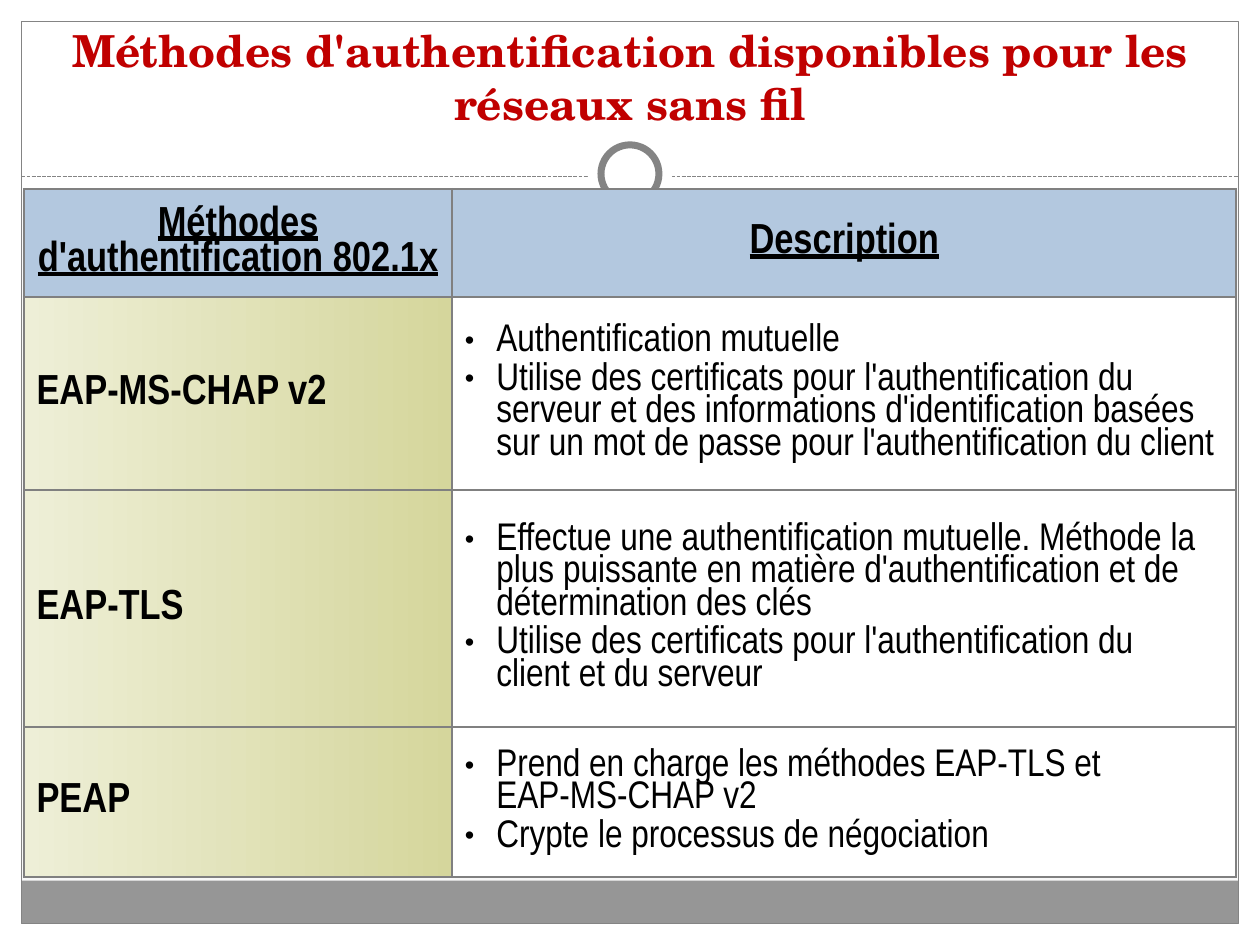
from typing import NamedTuple, Optional

from lxml.etree import SubElement
from pptx import Presentation
from pptx.dml.color import RGBColor
from pptx.enum.dml import MSO_LINE
from pptx.enum.shapes import MSO_CONNECTOR, MSO_SHAPE
from pptx.enum.text import MSO_ANCHOR, MSO_AUTO_SIZE, PP_ALIGN
from pptx.oxml.ns import qn
from pptx.util import Inches, Pt

# Grid of 100 columns by 75 rows, on a slide of 10 by 7.5 inches
COLUMNS, ROWS = 100, 75
MARGIN = 1.7
RULE_ROW = 14
GRAY, BORDER, WHITE, BLACK, RED = "848484", "808080", "FFFFFF", "000000", "C00000"
HEADER_FILL, METHOD_GRADIENT = "B3C8DF", ("EEEFD7", "D5D69C")
TABLE_FONT, TITLE_FONT = "Arial Narrow", "TeX Gyre Schola"
COLUMN_WIDTHS = (34, 62.2)
ROW_HEIGHTS = (8.6, 15.3, 18.8, 11.9)
HEADERS = ("Méthodes d'authentification 802.1x", "Description")


class Panel(NamedTuple):
    left: float
    top: float
    width: float
    height: float
    fill: Optional[str] = WHITE
    line: Optional[str] = None
    weight: float = 0.75
    preset: MSO_SHAPE = MSO_SHAPE.RECTANGLE


class Method(NamedTuple):
    name: str
    points: tuple[str, ...]


def centred_circle(diameter: float, **style) -> Panel:
    return Panel((COLUMNS - diameter) / 2, RULE_ROW - diameter / 2 - 0.2,
                 diameter, diameter, preset=MSO_SHAPE.OVAL, **style)


FRAME_WIDTH, FRAME_HEIGHT = COLUMNS - 2 * MARGIN, ROWS - 2 * MARGIN
FRAME = (
    Panel(0, ROWS - MARGIN, COLUMNS, MARGIN),
    Panel(0, 0, COLUMNS, 15.2),
    Panel(0, 0, MARGIN, ROWS),
    Panel(COLUMNS - MARGIN, 0, MARGIN, ROWS),
    Panel(MARGIN, 69.9, FRAME_WIDTH, 3.4, fill="969696"),
    Panel(MARGIN, MARGIN, FRAME_WIDTH, FRAME_HEIGHT, fill=None, line=GRAY),
)
CIRCLES = (centred_circle(6.7), centred_circle(4.6, line=GRAY, weight=4))

METHODS = (
    Method("EAP-MS-CHAP v2", (
        "Authentification mutuelle",
        "Utilise des certificats pour l'authentification du serveur et des informations "
        "d'identification basées sur un mot de passe pour l'authentification du client",
    )),
    Method("EAP-TLS", (
        "Effectue une authentification mutuelle. Méthode la plus puissante en matière "
        "d'authentification et de détermination des clés",
        "Utilise des certificats pour l'authentification du\nclient et du serveur",
    )),
    Method("PEAP", (
        "Prend en charge les méthodes EAP-TLS et\nEAP-MS-CHAP v2",
        "Crypte le processus de négociation",
    )),
)


def grid(units: float) -> int:
    return Inches(units / 10)


def color(value: str) -> RGBColor:
    return RGBColor.from_string(value)


def write(paragraph, text: str, *, size: float, font: str = TABLE_FONT, fill: str = BLACK,
          bold: bool = False, underline: bool = False, align=PP_ALIGN.LEFT,
          spacing: Optional[float] = None, before: float = 0, bullet: bool = False) -> None:
    paragraph.text = text
    paragraph.alignment = align
    paragraph.space_before = Pt(before)
    if spacing:
        paragraph.line_spacing = spacing
    if bullet:
        properties = paragraph._p.get_or_add_pPr()
        properties.set("marL", str(Inches(0.25)))
        properties.set("indent", str(-Inches(0.25)))
        SubElement(properties, qn("a:buSzPct"), val="70000")
        SubElement(properties, qn("a:buFont"), typeface="Arial")
        SubElement(properties, qn("a:buChar"), char="•")
    for run in paragraph.runs:
        run.font.name, run.font.size = font, Pt(size)
        run.font.bold, run.font.underline = bold, underline
        run.font.color.rgb = color(fill)


def draw_panel(slide, panel: Panel) -> None:
    shape = slide.shapes.add_shape(panel.preset, *map(grid, panel[:4]))
    shape.shadow.inherit = False
    if panel.fill:
        shape.fill.solid()
        shape.fill.fore_color.rgb = color(panel.fill)
    else:
        shape.fill.background()
    if panel.line:
        shape.line.color.rgb = color(panel.line)
        shape.line.width = Pt(panel.weight)
    else:
        shape.line.fill.background()


def draw_rule(slide) -> None:
    rule = slide.shapes.add_connector(MSO_CONNECTOR.STRAIGHT, grid(MARGIN), grid(RULE_ROW),
                                      grid(COLUMNS - MARGIN), grid(RULE_ROW))
    rule.line.color.rgb = color(GRAY)
    rule.line.width = Pt(0.75)
    rule.line.dash_style = MSO_LINE.SQUARE_DOT
    SubElement(rule._element.spPr, qn("a:effectLst"))


def place_title(slide, text: str) -> None:
    title = slide.shapes.title
    title.left, title.top, title.width, title.height = map(grid, (1.9, 2.5, 96.2, 8.3))
    frame = title.text_frame
    frame.auto_size = MSO_AUTO_SIZE.NONE
    frame.word_wrap = True
    frame.vertical_anchor = MSO_ANCHOR.BOTTOM
    write(frame.paragraphs[0], text, size=25.2, font=TITLE_FONT, fill=RED,
          bold=True, align=PP_ALIGN.CENTER)
    # The title stands in front of the frame panels
    title._element.getparent().append(title._element)


def style_cell(cell, *fills: str) -> None:
    """Border the cell and fill it: one colour is solid, two are a gradient."""
    cell.vertical_anchor = MSO_ANCHOR.MIDDLE
    properties = cell._tc.get_or_add_tcPr()
    for side in ("a:lnL", "a:lnR", "a:lnT", "a:lnB"):
        line = SubElement(properties, qn(side), w=str(Pt(1.5)))
        SubElement(SubElement(line, qn("a:solidFill")), qn("a:srgbClr"), val=BORDER)
    if len(fills) == 1:
        cell.fill.solid()
        cell.fill.fore_color.rgb = color(fills[0])
    else:
        cell.fill.gradient()
        cell.fill.gradient_angle = 0
        for stop, value in zip(cell.fill.gradient_stops, fills):
            stop.color.rgb = color(value)


def draw_table(slide) -> None:
    table = slide.shapes.add_table(
        len(ROW_HEIGHTS), len(COLUMN_WIDTHS), grid(1.9), grid(15),
        grid(sum(COLUMN_WIDTHS)), grid(sum(ROW_HEIGHTS))).table
    table.first_row = table.horz_banding = False
    for column, width in zip(table.columns, COLUMN_WIDTHS):
        column.width = grid(width)
    for row, height in zip(table.rows, ROW_HEIGHTS):
        row.height = grid(height)

    for index, header in enumerate(HEADERS):
        cell = table.cell(0, index)
        style_cell(cell, HEADER_FILL)
        write(cell.text_frame.paragraphs[0], header, size=24, bold=True, underline=True,
              align=PP_ALIGN.CENTER, spacing=0.9)

    for index, method in enumerate(METHODS, start=1):
        name_cell, points_cell = table.cell(index, 0), table.cell(index, 1)
        style_cell(name_cell, *METHOD_GRADIENT)
        write(name_cell.text_frame.paragraphs[0], method.name, size=24, bold=True, spacing=0.9)
        style_cell(points_cell, WHITE)
        frame = points_cell.text_frame
        for position, point in enumerate(method.points):
            paragraph = frame.add_paragraph() if position else frame.paragraphs[0]
            write(paragraph, point, size=22, spacing=0.9, bullet=True,
                  before=3.3 if position else 0)


def main() -> None:
    presentation = Presentation()
    presentation.slide_width, presentation.slide_height = grid(COLUMNS), grid(ROWS)
    slide = presentation.slides.add_slide(presentation.slide_layouts[5])
    slide.background.fill.solid()
    slide.background.fill.fore_color.rgb = color("F8F8F8")
    for panel in FRAME:
        draw_panel(slide, panel)
    draw_rule(slide)
    for circle in CIRCLES:
        draw_panel(slide, circle)
    place_title(slide, "Méthodes d'authentification disponibles pour les réseaux sans fil")
    draw_table(slide)
    presentation.save("out.pptx")


if __name__ == "__main__":
    main()
